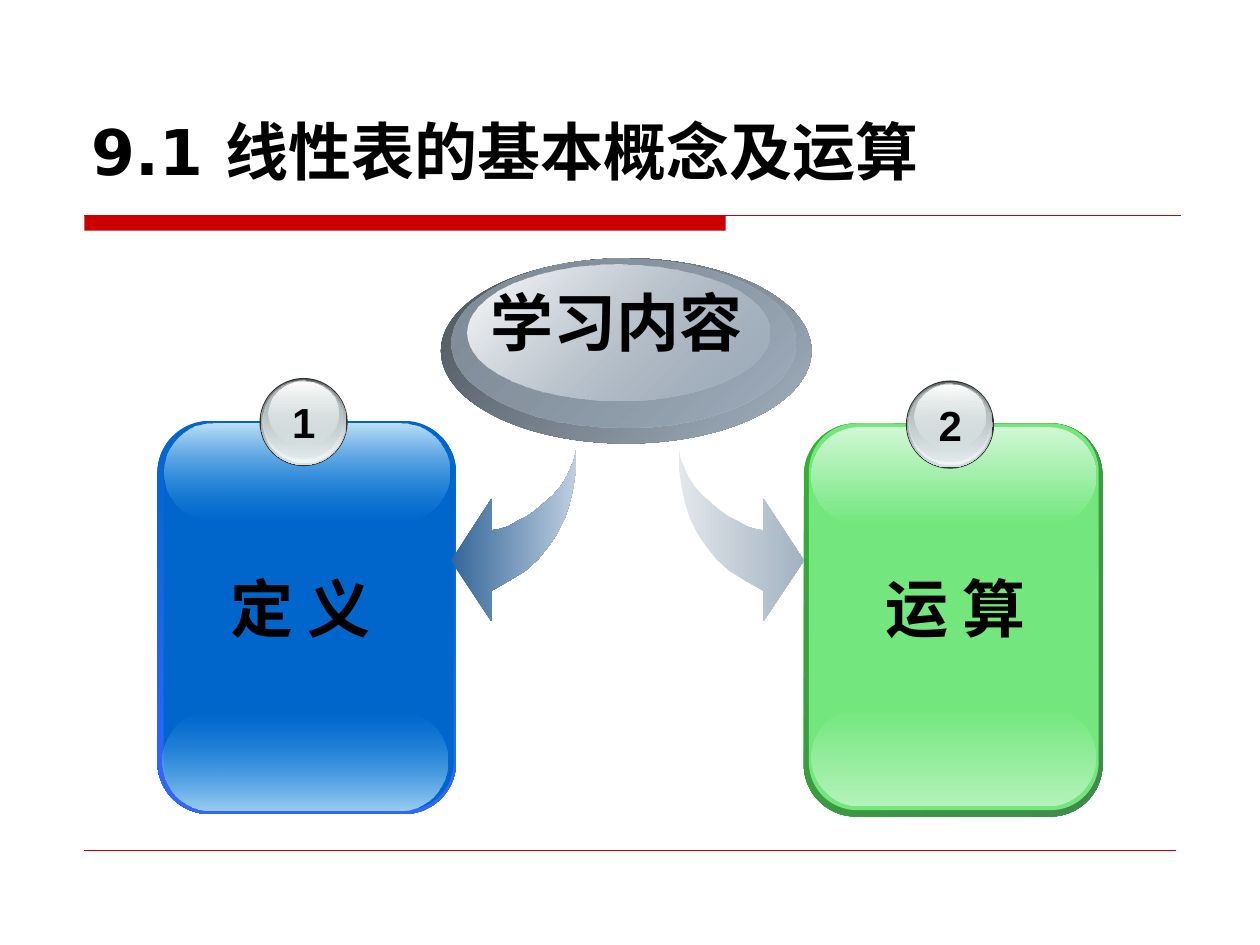
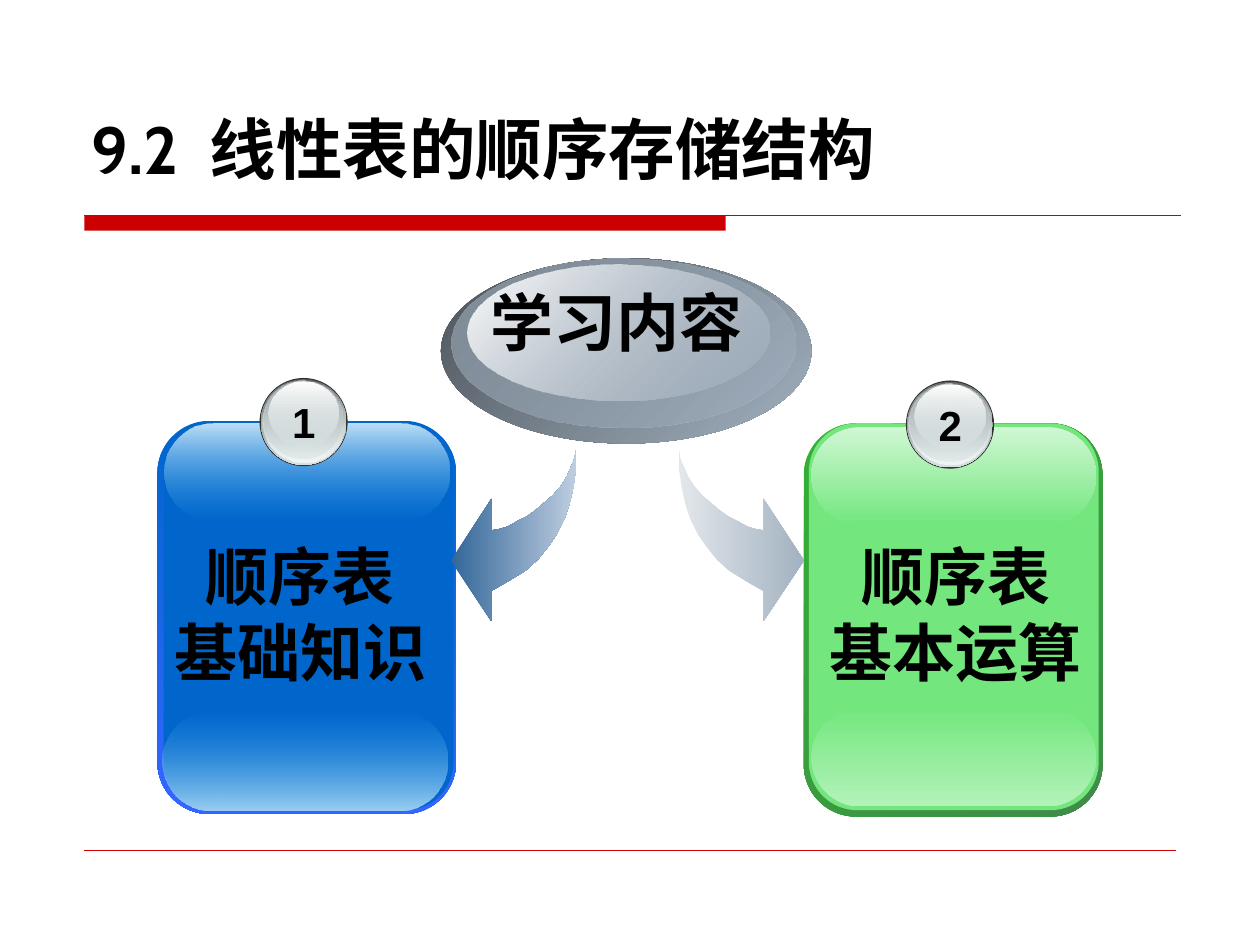
from dataclasses import dataclass

from lxml.etree import SubElement
from pptx import Presentation
from pptx.dml.color import RGBColor
from pptx.enum.shapes import MSO_CONNECTOR as Connector, MSO_SHAPE as Shape
from pptx.enum.text import MSO_ANCHOR as Anchor, PP_ALIGN as Align
from pptx.oxml.ns import qn
from pptx.util import Inches, Pt


@dataclass(frozen=True)
class Gradient:
    """Two colours; the angle runs clockwise and opacities are percentages."""
    start: str
    end: str
    angle: int = 90
    start_opacity: int = 100
    end_opacity: int = 100


@dataclass(frozen=True)
class CardStyle:
    rim: Gradient
    face: str
    top_gloss: Gradient
    bottom_gloss: Gradient


@dataclass(frozen=True)
class Theme:
    accent: str = "CC0000"
    text: str = "000000"
    body_font: str = "Arial"
    caption_size: int = 36
    badge_size: int = 24
    blue: CardStyle = CardStyle(
        Gradient("0066CC", "3366FF"), "0066CC",
        Gradient("BEE0F7", "3CA1E6", end_opacity=0),
        Gradient("3CA1E6", "9BCFF2", start_opacity=0))
    green: CardStyle = CardStyle(
        Gradient("34B034", "3F8B4A", 45), "73E77E",
        Gradient("D0F7D4", "73E77E"), Gradient("73E77E", "B3F2B9"))
    left_arrow: Gradient = Gradient("336699", "BECEDF", 0)
    right_arrow: Gradient = Gradient("E2E7EB", "A3B2C1", 0)


# Offset from the badge's corner, size and fill of each layer
BADGE_LAYERS = [
    (0, 0, 0.7, 0.7, "333333"),
    (0.01, 0.01, 0.68, 0.68, Gradient("636869", "D6E1E2")),
    (0.02, 0.01, 0.66, 0.66, Gradient("D6E1E2", "F1F5F5", start_opacity=0)),
    (0.03, 0.02, 0.63, 0.62, Gradient("AAB2B3", "D6E1E2", end_opacity=48)),
    (0.07, 0.03, 0.56, 0.5, Gradient("FFFFFF", "D6E1E2", end_opacity=38)),
]
TOPIC_LAYERS = [
    (3.5, 2.05, 2.94, 1.47, Gradient("4B5259", "A3B2C1", 45)),
    (3.58, 2.05, 2.73, 1.34, Gradient("818D99", "A3B2C1", 45, end_opacity=48)),
    (3.71, 2.1, 2.4, 1.08, Gradient("FFFFFF", "A3B2C1", 45, end_opacity=38)),
]
LEFT_ARROW = [
    (4.57, 3.57), (4.57, 3.73), (4.55, 3.87), (4.52, 4), (4.48, 4.12),
    (4.42, 4.24), (4.35, 4.34), (4.27, 4.44), (4.17, 4.53), (4.04, 4.61),
    (3.9, 4.69), (3.9, 4.93), (3.58, 4.45), (3.9, 3.96), (3.9, 4.21),
    (3.96, 4.2), (4.03, 4.18), (4.1, 4.14), (4.18, 4.1), (4.25, 4.05),
    (4.32, 3.99), (4.39, 3.93), (4.45, 3.86), (4.5, 3.78), (4.53, 3.71),
    (4.56, 3.64),
]
ARROW_AXIS = 4.98
RIGHT_ARROW = [(2 * ARROW_AXIS - x, y) for x, y in LEFT_ARROW]


class Deck:
    def __init__(self, theme):
        self.theme = theme
        self.presentation = Presentation()
        self.presentation.slide_width = Inches(10)
        self.presentation.slide_height = Inches(7.5)
        self.slide = None

    def new_slide(self):
        layout = self.presentation.slide_layouts[6]
        self.slide = self.presentation.slides.add_slide(layout)
        self.shape(Shape.RECTANGLE, 0.67, 1.71, 5.09, 0.12, self.theme.accent)
        self.rule(1.71, 9.37, 0.75)
        self.rule(6.75, 9.33, 0.25)

    def rule(self, y, right, weight):
        line = self.slide.shapes.add_connector(
            Connector.STRAIGHT, Inches(0.67), Inches(y), Inches(right), Inches(y))
        line.line.color.rgb = RGBColor.from_string(self.theme.accent)
        line.line.width = Pt(weight)
        SubElement(line._element.spPr, qn("a:effectLst"))

    def paint(self, shape, fill):
        shape.shadow.inherit = False
        shape.line.fill.background()
        if isinstance(fill, str):
            shape.fill.solid()
            shape.fill.fore_color.rgb = RGBColor.from_string(fill)
            return
        shape.fill.gradient()
        shape.fill.gradient_angle = (360 - fill.angle) % 360
        for stop, color in zip(shape.fill.gradient_stops, (fill.start, fill.end)):
            stop.color.rgb = RGBColor.from_string(color)
        colors = shape._element.spPr.iter(qn("a:srgbClr"))
        for color, opacity in zip(colors, (fill.start_opacity, fill.end_opacity)):
            if opacity < 100:
                SubElement(color, qn("a:alpha")).set("val", str(opacity * 1000))

    def shape(self, kind, left, top, width, height, fill, radius=None):
        shape = self.slide.shapes.add_shape(
            kind, Inches(left), Inches(top), Inches(width), Inches(height))
        if radius is not None:
            shape.adjustments[0] = radius
        self.paint(shape, fill)

    def arrow(self, points, fill):
        corners = [(Inches(x), Inches(y)) for x, y in points]
        builder = self.slide.shapes.build_freeform(*corners[0])
        builder.add_line_segments(corners[1:], close=True)
        self.paint(builder.convert_to_shape(), fill)

    def text_frame(self, left, top, width, height, wrap=True):
        box = self.slide.shapes.add_textbox(
            Inches(left), Inches(top), Inches(width), Inches(height))
        box.text_frame.word_wrap = wrap
        return box.text_frame

    def run(self, paragraph, text, size, font):
        run = paragraph.add_run()
        run.text = text
        run.font.name = font
        run.font.size = Pt(size)
        run.font.bold = True
        run.font.color.rgb = RGBColor.from_string(self.theme.text)
        return run

    def title(self, number, name, size, font, gap):
        """Number and name, with gap points added to the space between them."""
        frame = self.text_frame(0.63, 0.21, 8.75, 1.33)
        frame.vertical_anchor = Anchor.BOTTOM
        paragraph = frame.paragraphs[0]
        self.run(paragraph, number, size, font)
        space = self.run(paragraph, " ", size, font)
        if gap:
            space._r.get_or_add_rPr().set("spc", str(gap * 100))
        self.run(paragraph, name, size, font)

    def label(self, lines, left, top, width, height, size, wrap=True):
        frame = self.text_frame(left, top, width, height, wrap)
        for index, line in enumerate(lines):
            paragraph = frame.add_paragraph() if index else frame.paragraphs[0]
            paragraph.alignment = Align.CENTER
            self.run(paragraph, line, size, self.theme.body_font)

    def caption(self, lines, left, top, width):
        height = 0.1 + 0.6 * len(lines)
        self.label(lines, left, top, width, height, self.theme.caption_size)

    def badge(self, number, left, top):
        for dx, dy, width, height, fill in BADGE_LAYERS:
            self.shape(Shape.OVAL, left + dx, top + dy, width, height, fill)
        self.label([number], left + 0.16, top + 0.1, 0.38, 0.5,
                   self.theme.badge_size, wrap=False)

    def card(self, style, rim, face, top_gloss, bottom_gloss):
        """Draw a glossy panel; each part is given by its left and top."""
        rounded = Shape.ROUNDED_RECTANGLE
        self.shape(rounded, *rim, 2.37, 3.12, style.rim, 0.174)
        self.shape(rounded, *face, 2.3, 3.07, style.face, 0.166)
        self.shape(rounded, *bottom_gloss, 2.26, 0.78, style.bottom_gloss, 0.5)
        self.shape(rounded, *top_gloss, 2.26, 0.77, style.top_gloss, 0.5)

    def topic(self, text):
        for *place, fill in TOPIC_LAYERS:
            self.shape(Shape.OVAL, *place, fill)
        self.caption([text], 3.77, 2.2, 2.25)

    def contents(self, left_lines, right_lines):
        """Draw the topic with arrows to its two numbered cards."""
        theme = self.theme
        self.card(theme.blue, (1.25, 3.34), (1.3, 3.36), (1.31, 3.36), (1.29, 5.65))
        self.card(theme.green, (6.38, 3.36), (6.42, 3.36), (6.44, 3.39), (6.44, 5.62))
        self.badge("1", 2.06, 3)
        self.badge("2", 7.19, 3.02)
        self.topic("学习内容")
        self.arrow(LEFT_ARROW, theme.left_arrow)
        self.arrow(RIGHT_ARROW, theme.right_arrow)
        for lines, left in ((left_lines, 1.27), (right_lines, 6.47)):
            self.caption(lines, left, 4.72 - 0.25 * len(lines), 2.23)


def main():
    deck = Deck(Theme())

    deck.new_slide()
    deck.contents(["定 义"], ["运 算"])
    deck.title("9.1", "线性表的基本概念及运算", 36, "DejaVu Sans", gap=0)

    deck.new_slide()
    deck.contents(["顺序表", "基础知识"], ["顺序表", "基本运算"])
    deck.title("9.2", "线性表的顺序存储结构", 38, "Cabin", gap=9)

    deck.presentation.save("out.pptx")


if __name__ == "__main__":
    main()
